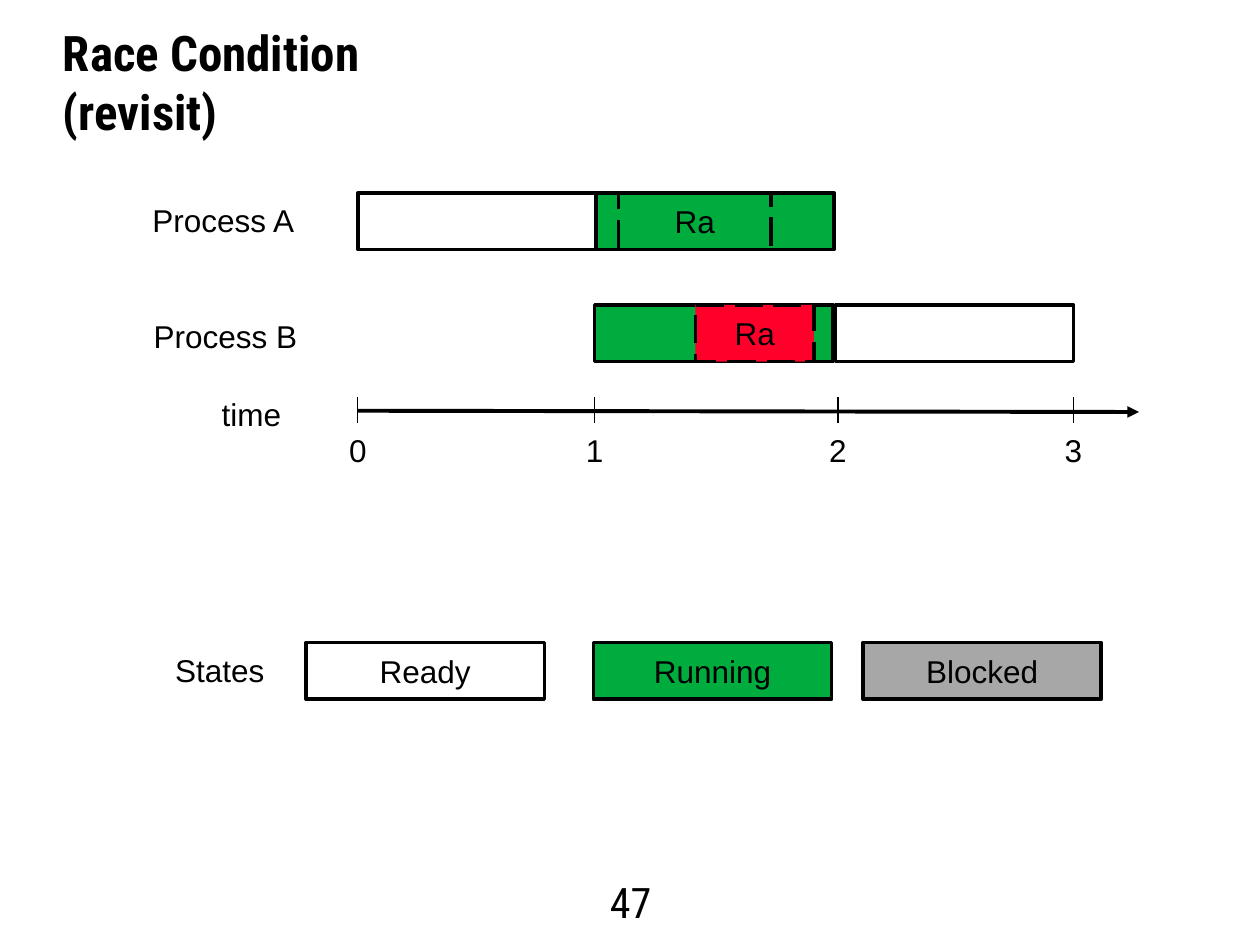
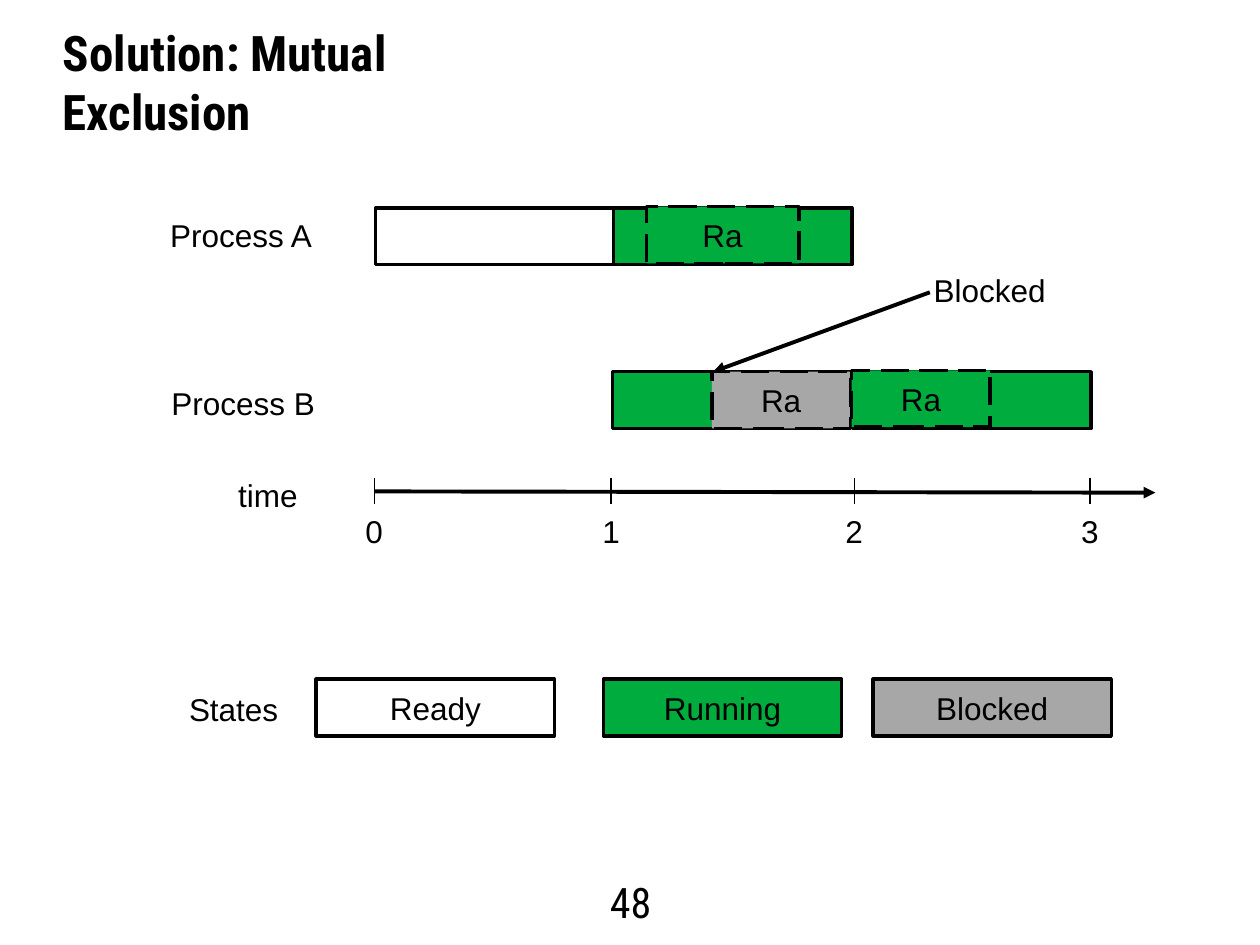
from lxml import etree
from pptx import Presentation
from pptx import util as u
from pptx.dml.color import RGBColor
from pptx.enum import dml, shapes, text
from pptx.oxml.ns import qn

BLACK, GREEN, RED, GRAY = "000000", "00AC3D", "FF002B", "A7A7A7"
BAR_W, BAR_H = 1.89, 0.45
LABEL_H = 0.33
CENTER, LEFT = text.PP_ALIGN.CENTER, text.PP_ALIGN.LEFT


def add_text(sl, words, x, y, w, h, font="Arial", size=18, bold=False, align=LEFT,
             anchor=text.MSO_ANCHOR.MIDDLE, bar=False, fill=None, dashed=False):
    """Add a text box, or an outlined bar with centred text."""
    box = [u.Inches(v) for v in (x, y, w, h)]
    if bar:
        sp = sl.shapes.add_shape(shapes.MSO_SHAPE.RECTANGLE, *box)
        sp.shadow.inherit = False
        if fill:
            sp.fill.solid()
            sp.fill.fore_color.rgb = RGBColor.from_string(fill)
        else:
            sp.fill.background()
        sp.line.color.rgb = RGBColor.from_string(BLACK)
        sp.line.width = u.Pt(2)
        if dashed:
            sp.line.dash_style = dml.MSO_LINE.LONG_DASH
        align = CENTER
    else:
        sp = sl.shapes.add_textbox(*box)
    if not words:
        return
    tf = sp.text_frame
    tf.word_wrap = True
    tf.margin_left = tf.margin_right = tf.margin_top = tf.margin_bottom = 0
    tf.vertical_anchor = anchor
    p = tf.paragraphs[0]
    p.alignment = align
    r = p.add_run()
    r.text = words
    r.font.name, r.font.size, r.font.bold = font, u.Pt(size), bold
    r.font.color.rgb = RGBColor.from_string(BLACK)


def add_line(sl, x1, y1, x2, y2, width, arrow=False):
    c = sl.shapes.add_connector(shapes.MSO_CONNECTOR.STRAIGHT,
                                *[u.Inches(v) for v in (x1, y1, x2, y2)])
    c.line.color.rgb = RGBColor.from_string(BLACK)
    c.line.width = u.Pt(width)
    if arrow:
        etree.SubElement(c.line._get_or_add_ln(), qn("a:tailEnd"), type="triangle")
    etree.SubElement(c._element.spPr, qn("a:effectLst"))


# Bars: left, top, width, fill, dashed, text
SLIDES = [
    dict(
        title="Race Condition (revisit)", number="47",
        bars=[
            (4.73, 1.53, BAR_W, GREEN, False, ""),
            (4.91, 1.53, 1.21, None, True, "Ra"),
            (6.63, 2.42, BAR_W, None, False, ""),
            (4.72, 2.42, BAR_W, GREEN, False, ""),
            (5.52, 2.42, 0.94, RED, True, "Ra"),
            (2.84, 1.53, BAR_W, None, False, ""),
        ],
        labels=[("Process A", 1.21, 1.58), ("Process B", 1.22, 2.5), ("States", 1.39, 5.15)],
        axis=(2.84, 3.26), legend=(2.43, 5.1), pointer=None,
    ),
    dict(
        title="Solution: Mutual Exclusion", number="48",
        bars=[
            (4.87, 1.65, BAR_W, GREEN, False, ""),
            (5.13, 1.64, 1.21, GREEN, True, "Ra"),
            (6.77, 2.95, BAR_W, GREEN, False, ""),
            (4.86, 2.95, BAR_W, GREEN, False, ""),
            (5.65, 2.95, 1.1, GRAY, True, "Ra"),
            (2.98, 1.65, BAR_W, None, False, ""),
            (6.76, 2.94, 1.1, GREEN, True, "Ra"),
        ],
        labels=[("Process A", 1.35, 1.7), ("Process B", 1.36, 3.03), ("States", 1.5, 5.46),
                ("Blocked", 7.41, 2.14)],
        axis=(2.97, 3.9), legend=(2.51, 5.39), pointer=(7.38, 2.32, 5.66, 2.95),
    ),
]
TICKS = [0, 1.88, 3.81, 5.68]
STATES = [("Ready", 0, None), ("Running", 2.28, GREEN), ("Blocked", 4.42, GRAY)]

prs = Presentation()
prs.slide_width, prs.slide_height = u.Inches(10), u.Inches(7.5)

for spec_row in SLIDES:
    sl = prs.slides.add_slide(prs.slide_layouts[6])

    # Title and page number
    add_text(sl, spec_row["title"], 0.5, 0.18, 3.5, 0.95, font="Roboto Condensed",
             size=28, bold=True, anchor=text.MSO_ANCHOR.TOP)
    add_text(sl, spec_row["number"], 4.8, 6.95, 0.41, 0.41, font="Roboto Condensed",
             size=24, align=CENTER)

    # Process bars and row labels
    for x, y, w, fill, dashed, words in spec_row["bars"]:
        add_text(sl, words, x, y, w, BAR_H, bar=True, fill=fill, dashed=dashed)
    for words, x, y in spec_row["labels"]:
        add_text(sl, words, x, y, 1.25, LABEL_H)

    # Time axis
    x0, y0 = spec_row["axis"]
    add_text(sl, "time", x0 - 1.08, y0 - 0.14, 0.6, LABEL_H)
    add_line(sl, x0, y0, x0 + 6.2, y0 + 0.01, 2.25, arrow=True)
    for n, dx in enumerate(TICKS):
        add_line(sl, x0 + dx, y0 - 0.11, x0 + dx, y0 + 0.1, 0.75)
        add_text(sl, str(n), x0 + dx - 0.15, y0 + 0.15, 0.3, LABEL_H, align=CENTER)

    # Pointer to the blocked section
    if spec_row["pointer"]:
        add_line(sl, *spec_row["pointer"], 2.25, arrow=True)

    # Legend of states
    x0, y0 = spec_row["legend"]
    for words, dx, fill in STATES:
        add_text(sl, words, x0 + dx, y0, BAR_W, BAR_H, bar=True, fill=fill)

prs.save("out.pptx")
